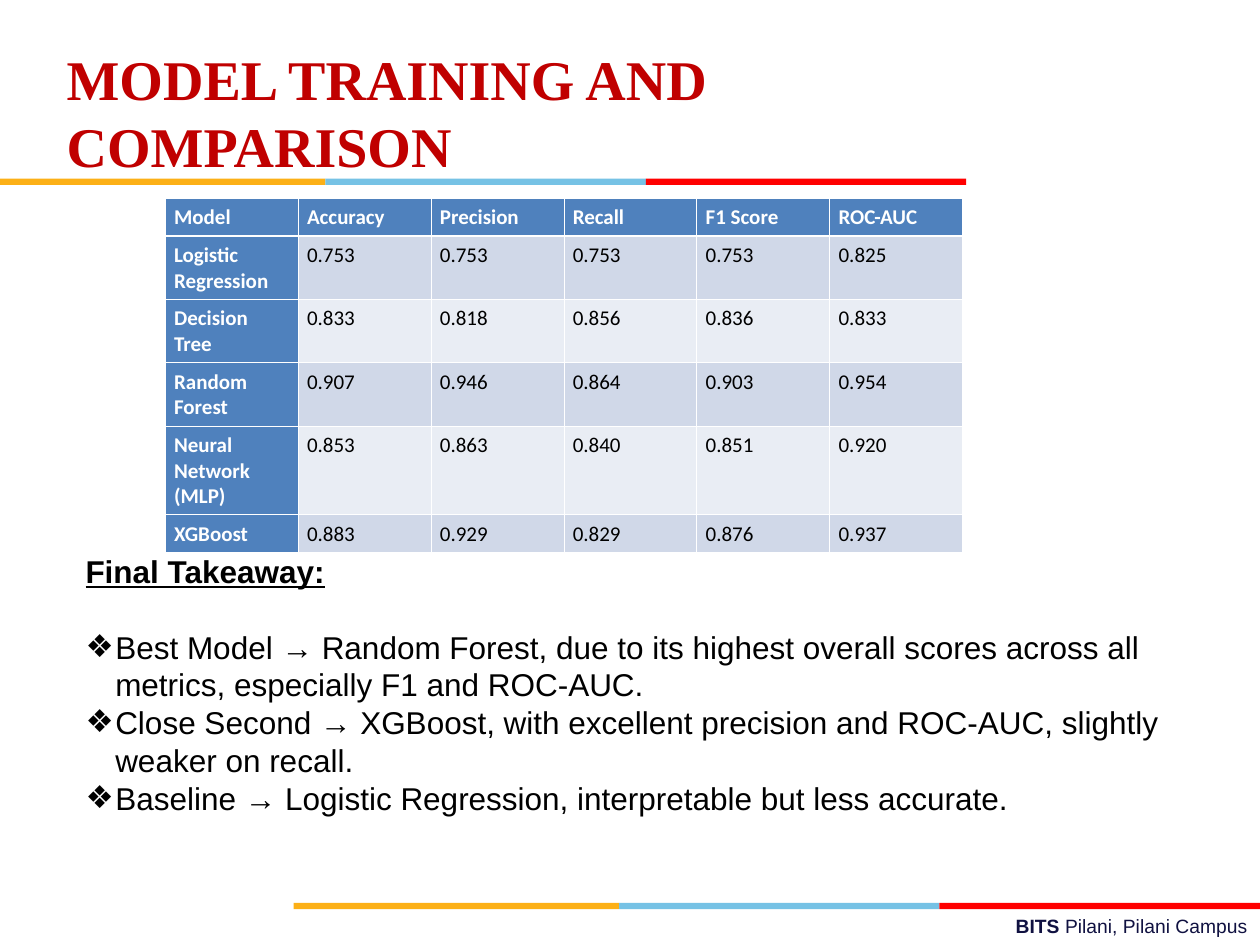
from dataclasses import dataclass
from typing import NamedTuple

from lxml import etree
from pptx import Presentation
from pptx.dml.color import RGBColor
from pptx.enum.shapes import MSO_SHAPE
from pptx.enum.text import MSO_ANCHOR, MSO_AUTO_SIZE, PP_ALIGN
from pptx.oxml.ns import qn
from pptx.util import Cm, Pt

RECTANGLE = MSO_SHAPE.RECTANGLE
TOP = MSO_ANCHOR.TOP
FIT_SHAPE = MSO_AUTO_SIZE.SHAPE_TO_FIT_TEXT
LEFT, RIGHT = PP_ALIGN.LEFT, PP_ALIGN.RIGHT


@dataclass(frozen=True)
class Theme:
    heading: str = "C00000"
    text: str = "000000"
    footer: str = "101141"
    white: str = "FFFFFF"
    gold: str = "FCB017"
    sky: str = "76C2E5"
    red: str = "FF0000"
    table_head: str = "4F81BD"
    row_bands: tuple[str, str] = ("D0D8E8", "E9EDF4")
    title_font: str = "Times New Roman"
    body_font: str = "Arial"
    table_font: str = "Calibri"
    title_size: float = 32
    body_size: float = 18
    table_size: float = 12
    footer_size: float = 11
    thin_border: float = 0.45
    thick_border: float = 1.47


THEME = Theme()


class Box(NamedTuple):
    left: float
    top: float
    width: float
    height: float


class ModelScores(NamedTuple):
    model: str
    scores: tuple[str, ...]
    lines: int


class Stripe(NamedTuple):
    color: str
    width: float


HEADINGS = ModelScores("Model", ("Accuracy", "Precision", "Recall", "F1 Score", "ROC-AUC"), 1)
MODELS = [
    ModelScores("Logistic Regression", ("0.753", "0.753", "0.753", "0.753", "0.825"), 2),
    ModelScores("Decision Tree", ("0.833", "0.818", "0.856", "0.836", "0.833"), 2),
    ModelScores("Random Forest", ("0.907", "0.946", "0.864", "0.903", "0.954"), 2),
    ModelScores("Neural Network (MLP)", ("0.853", "0.863", "0.840", "0.851", "0.920"), 3),
    ModelScores("XGBoost", ("0.883", "0.929", "0.829", "0.876", "0.937"), 1),
]
TAKEAWAYS = [
    "Best Model → Random Forest, due to its highest overall scores across all metrics, "
    "especially F1 and ROC-AUC.",
    "Close Second → XGBoost, with excellent precision and ROC-AUC, slightly weaker on recall.",
    "Baseline → Logistic Regression, interpretable but less accurate.",
]
STRIPES = [Stripe(THEME.gold, 6.56), Stripe(THEME.sky, 6.46), Stripe(THEME.red, 6.46)]
STRIPE_HEIGHT = 0.13
LINE_HEIGHT = 0.56


def write(paragraph, text: str, *, font: str = THEME.body_font, size: float = THEME.body_size,
          color: str = THEME.text, bold: bool = False, underline: bool = False,
          align: PP_ALIGN = LEFT) -> None:
    """Add one formatted run to a paragraph."""
    paragraph.alignment = align
    run = paragraph.add_run()
    run.text = text
    run.font.name = font
    run.font.size = Pt(size)
    run.font.bold = bold
    run.font.underline = underline
    run.font.color.rgb = RGBColor.from_string(color)


def place(shape, box: Box):
    """Position a text shape and return its prepared text frame."""
    shape.left, shape.top, shape.width, shape.height = map(Cm, box)
    frame = shape.text_frame
    frame.word_wrap = True
    frame.vertical_anchor = TOP
    frame.auto_size = FIT_SHAPE
    return frame


def add_bullet(paragraph, indent: float = 0.6) -> None:
    properties = paragraph._p.get_or_add_pPr()
    properties.set("marL", str(Cm(indent)))
    properties.set("indent", str(-Cm(indent)))
    etree.SubElement(properties, qn("a:buFont")).set("typeface", THEME.body_font)
    etree.SubElement(properties, qn("a:buChar")).set("char", "❖")


def draw_stripes(slide, left: float, top: float) -> None:
    """Draw the three-coloured rule, its stripes end to end."""
    rule = slide.shapes.add_group_shape()
    for color, width in STRIPES:
        stripe = rule.shapes.add_shape(RECTANGLE, *map(Cm, (left, top, width, STRIPE_HEIGHT)))
        stripe.shadow.inherit = False
        stripe.fill.solid()
        stripe.fill.fore_color.rgb = RGBColor.from_string(color)
        stripe.line.fill.background()
        left += width


def set_borders(cell, **widths: float) -> None:
    """Give each side (L, R, T, B) a white line of the given width."""
    properties = cell._tc.get_or_add_tcPr()
    for position, (side, width) in enumerate(widths.items()):
        line = etree.Element(qn(f"a:ln{side}"), w=str(Pt(width)))
        fill = etree.SubElement(line, qn("a:solidFill"))
        etree.SubElement(fill, qn("a:srgbClr")).set("val", THEME.white)
        properties.insert(position, line)


def draw_scores(slide, box: Box) -> None:
    rows = [HEADINGS, *MODELS]
    column_count = len(HEADINGS.scores) + 1
    table = slide.shapes.add_table(len(rows), column_count, *map(Cm, box)).table
    table.first_col = True
    for column in table.columns:
        column.width = Cm(box.width / column_count)
    for r, entry in enumerate(rows):
        table.rows[r].height = Cm(entry.lines * LINE_HEIGHT)
        for c, text in enumerate((entry.model, *entry.scores)):
            cell = table.cell(r, c)
            is_head = r == 0 or c == 0
            cell.margin_left = cell.margin_right = Cm(0.18)
            cell.margin_top = cell.margin_bottom = Cm(0.13)
            cell.fill.solid()
            cell.fill.fore_color.rgb = RGBColor.from_string(
                THEME.table_head if is_head else THEME.row_bands[(r - 1) % 2])
            set_borders(cell, L=THEME.thin_border, R=THEME.thin_border,
                        T=THEME.thick_border if r == 1 else THEME.thin_border,
                        B=THEME.thick_border if r == 0 else THEME.thin_border)
            write(cell.text_frame.paragraphs[0], text, font=THEME.table_font,
                  size=THEME.table_size, bold=is_head,
                  color=THEME.white if is_head else THEME.text)


def main() -> None:
    deck = Presentation()
    deck.slide_width, deck.slide_height = Cm(25.4), Cm(19.05)
    slide = deck.slides.add_slide(deck.slide_layouts[1])
    title, takeaway = slide.placeholders

    # Title
    heading = place(title, Box(1.09, 0.76, 18.42, 2.97))
    write(heading.paragraphs[0], "MODEL TRAINING AND COMPARISON", font=THEME.title_font,
          size=THEME.title_size, color=THEME.heading, bold=True)

    # Coloured rules under the title and above the footer
    draw_stripes(slide, left=0, top=3.6)
    draw_stripes(slide, left=25.4 - sum(stripe.width for stripe in STRIPES), top=18.2)

    # Model scores
    draw_scores(slide, Box(3.33, 3.99, 16.08, 6.15))

    # Takeaway list
    body = place(takeaway, Box(1.47, 11, 23.5, 6.35))
    lead = body.paragraphs[0]
    lead_properties = lead._p.get_or_add_pPr()
    lead_properties.set("marL", "0")
    lead_properties.set("indent", "0")
    etree.SubElement(lead_properties, qn("a:buNone"))
    lead.space_before = Pt(0)
    lead.space_after = Pt(21.6)
    write(lead, "Final Takeaway:", bold=True, underline=True)
    for text in TAKEAWAYS:
        item = body.add_paragraph()
        add_bullet(item)
        item.space_before = Pt(0)
        write(item, text)

    # Footer
    footer = place(slide.shapes.add_textbox(0, 0, 0, 0), Box(9.09, 18.31, 16.31, 0.74))
    campus = footer.paragraphs[0]
    for text, bold in (("BITS ", True), ("Pilani, Pilani Campus", False)):
        write(campus, text, size=THEME.footer_size, color=THEME.footer, bold=bold, align=RIGHT)

    deck.save("out.pptx")


if __name__ == "__main__":
    main()
